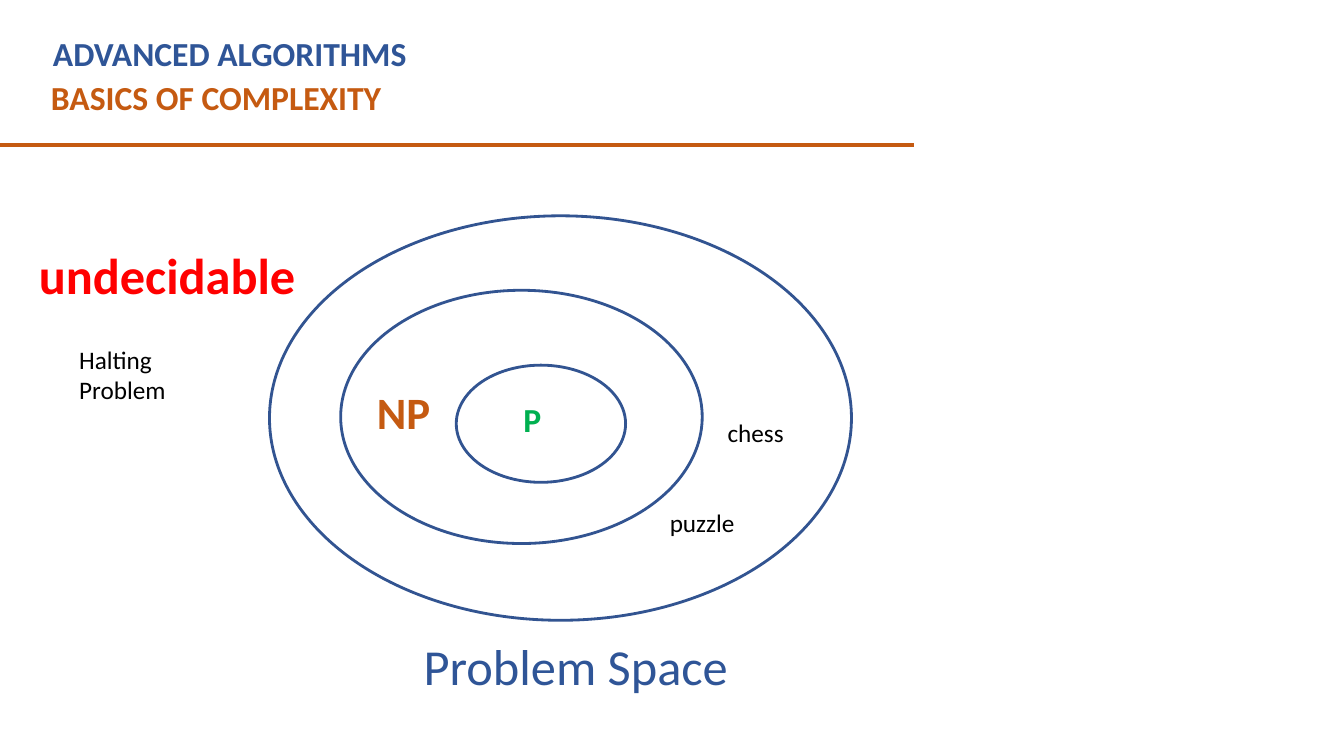
from lxml.etree import SubElement
from pptx import Presentation
from pptx.dml.color import RGBColor
from pptx.enum.shapes import MSO_CONNECTOR, MSO_SHAPE
from pptx.enum.text import PP_ALIGN
from pptx.oxml.ns import qn
from pptx.util import Inches, Pt

BLUE, ORANGE, GREEN, RED, BLACK = "2F5597", "C55A11", "00B050", "FF0000", "000000"
OUTLINE = "325491"


def color(value):
    return RGBColor.from_string(value)


class SlideBuilder:
    """Draws styled elements on a slide, with lengths in percent of its size."""

    font_name = "Calibri"

    def __init__(self, presentation):
        self.width = presentation.slide_width
        self.height = presentation.slide_height
        self.slide = presentation.slides.add_slide(presentation.slide_layouts[6])

    def across(self, share):
        return round(self.width * share / 100)

    def down(self, share):
        return round(self.height * share / 100)

    def box(self, left, top, width, height):
        return self.across(left), self.down(top), self.across(width), self.down(height)

    def text(self, words, place, size, text_color, bold=False, align=PP_ALIGN.LEFT):
        frame = self.slide.shapes.add_textbox(*self.box(*place)).text_frame
        frame.word_wrap = True
        paragraph = frame.paragraphs[0]
        paragraph.alignment = align
        run = paragraph.add_run()
        run.text = words
        run.font.name = self.font_name
        run.font.size = Pt(size)
        run.font.bold = bold
        run.font.color.rgb = color(text_color)

    def ellipse(self, place):
        shape = self.slide.shapes.add_shape(MSO_SHAPE.OVAL, *self.box(*place))
        shape.shadow.inherit = False
        shape.fill.background()
        shape.line.color.rgb = color(OUTLINE)
        shape.line.width = Pt(2)

    def rule(self, top, width):
        connector = self.slide.shapes.add_connector(
            MSO_CONNECTOR.STRAIGHT, 0, self.down(top), self.across(width), self.down(top)
        )
        connector.line.color.rgb = color(ORANGE)
        connector.line.width = Pt(3)
        SubElement(connector.element.spPr, qn("a:effectLst"))


def main():
    presentation = Presentation()
    presentation.slide_width = Inches(13.33)
    presentation.slide_height = Inches(7.5)
    builder = SlideBuilder(presentation)

    builder.text("ADVANCED ALGORITHMS", (3.2, 3.7, 61.5, 6.7), 24, BLUE, bold=True)
    builder.text("BASICS OF COMPLEXITY", (3.05, 9.5, 65.6, 6.7), 24, ORANGE, bold=True)
    builder.rule(19.2, 68)

    for problem_class in (
        (20.05, 28.55, 43.3, 53.5),
        (25.35, 38.4, 26.9, 33.5),
        (33.95, 48.3, 12.6, 15.5),
    ):
        builder.ellipse(problem_class)

    for words, place, size, text_color in (
        ("P", (38.2, 52.1, 4.4, 6.7), 24, GREEN),
        ("NP", (27.3, 50.25, 5.9, 15.5), 32, ORANGE),
        ("undecidable", (2.15, 31.7, 23.2, 17.3), 36, RED),
    ):
        builder.text(words, place, size, text_color, bold=True)

    for words, place in (
        ("chess", (53.4, 54.5, 8.6, 5.3)),
        ("puzzle", (49.1, 66.5, 8.6, 5.3)),
        ("Halting Problem", (5.15, 44.85, 12.2, 9.3)),
    ):
        builder.text(words, place, 18, BLACK)

    builder.text("Problem Space", (25.35, 83.3, 35, 9.3), 36, BLUE, align=PP_ALIGN.CENTER)
    presentation.save("out.pptx")


if __name__ == "__main__":
    main()
